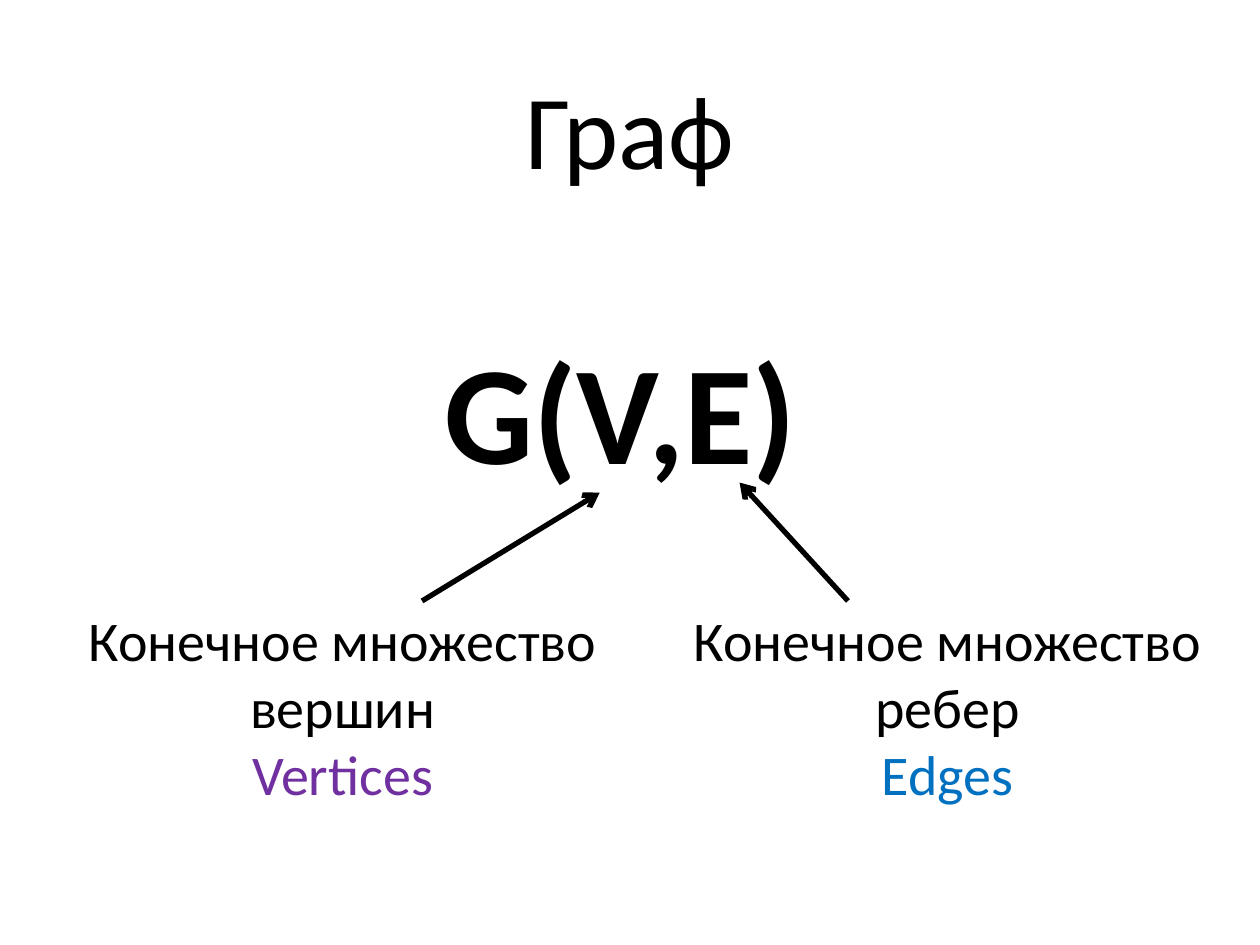
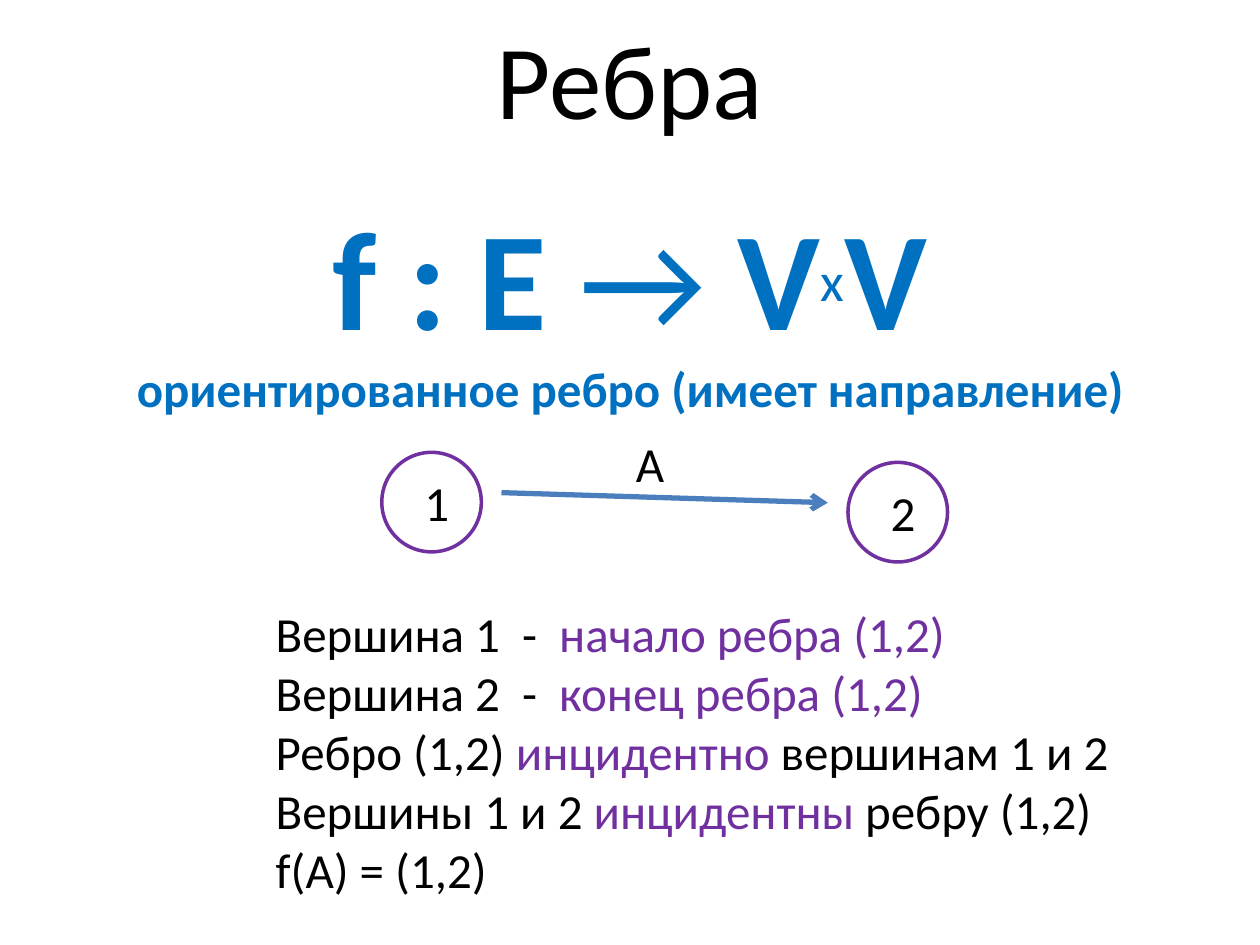
import pptx
import pptx.util
import pptx.dml.color
import pptx.enum.shapes
import pptx.enum.text
import pptx.oxml
import pptx.oxml.ns
from dataclasses import dataclass

Inches = pptx.util.Inches
Align = pptx.enum.text.PP_ALIGN
Shape = pptx.enum.shapes.MSO_SHAPE


@dataclass(frozen=True)
class Theme:
    font: str = "Calibri"
    ink: str = "000000"
    paper: str = "FFFFFF"
    node: str = "7030A0"
    edge: str = "0070C0"
    arrow: str = "4B7EBC"
    head: int = 60
    huge: int = 80
    cross: int = 54
    note: int = 32
    body: int = 28
    hang: float = 0.56


theme = Theme()


def tint(code):
    return pptx.dml.color.RGBColor.from_string(code)


def style(run, size, color=theme.ink, bold=False):
    run.font.name = theme.font
    run.font.size = pptx.util.Pt(size)
    run.font.bold = bold
    run.font.color.rgb = tint(color)


def place(shape, box):
    shape.left, shape.top, shape.width, shape.height = map(Inches, box)


def setup(frame):
    frame.word_wrap = True
    frame.auto_size = pptx.enum.text.MSO_AUTO_SIZE.NONE
    frame.vertical_anchor = pptx.enum.text.MSO_ANCHOR.MIDDLE


def write(slide, box, rows, size, align=Align.CENTER, hang=False):
    frame = slide.shapes.add_textbox(*map(Inches, box)).text_frame
    setup(frame)
    for i, row in enumerate(rows):
        para = frame.add_paragraph() if i else frame.paragraphs[0]
        para.alignment = align
        if hang:
            props = para._p.get_or_add_pPr()
            props.set("marL", str(Inches(theme.hang)))
            props.set("indent", str(-Inches(theme.hang)))
        for text, color in row:
            run = para.add_run()
            run.text = text
            style(run, size, color)


def label(slide, box, text, size=theme.body):
    write(slide, box, [[(text, theme.ink)]], size, hang=True)


def title(slide, box, parts, color):
    shape = slide.shapes.title
    place(shape, box)
    setup(shape.text_frame)
    para = shape.text_frame.paragraphs[0]
    para.alignment = Align.CENTER
    for text, size, bold in parts:
        if text == "\n":
            para.add_line_break()
            continue
        run = para.add_run()
        run.text = text
        style(run, size, color, bold)
        if size == theme.cross:
            run.font._element.set("baseline", "30000")


def arrow(slide, start, end, color):
    line = slide.shapes.add_connector(
        pptx.enum.shapes.MSO_CONNECTOR.STRAIGHT, *map(Inches, start + end))
    line.line.color.rgb = tint(color)
    line.line.width = pptx.util.Pt(3)
    tip = pptx.oxml.parse_xml(
        '<a:tailEnd %s type="arrow"/>' % pptx.oxml.ns.nsdecls("a"))
    line.line._get_or_add_ln().append(tip)
    line._element.spPr.append(pptx.oxml.parse_xml(
        "<a:effectLst %s/>" % pptx.oxml.ns.nsdecls("a")))


def vertex(slide, box, text):
    x, y, w, h = box
    ring = slide.shapes.add_shape(Shape.OVAL, *map(Inches, box))
    ring.shadow.inherit = False
    ring.fill.solid()
    ring.fill.fore_color.rgb = tint(theme.paper)
    ring.line.color.rgb = tint(theme.node)
    ring.line.width = pptx.util.Pt(2)
    label(slide, (x + 0.24, y + 0.08, 0.39, 0.63), text)


def legend(slide, box, text, name, color, tip):
    x, y, w, h = box
    write(slide, box, [[(text, theme.ink)], [(name, color)]], theme.note)
    arrow(slide, (x + tip[0], y + 0.23), tip[1:], theme.ink)


def edge(slide, box):
    x, y, w, h = box
    side = 0.79
    vertex(slide, (x + w - side, y + h - side, side, side), "2")
    vertex(slide, (x, y, side, side), "1")
    arrow(slide, (x + 0.95, y + 0.32), (x + 3.54, y + 0.4), theme.arrow)
    label(slide, (x + 1.03, y - 0.23, 2.2, 0.63), "A")


def facts(slide, box):
    ink, node = theme.ink, theme.node
    rows = [
        [("Вершина 1  -  ", ink), ("начало ребра (1,2)", node)],
        [("Вершина 2  -  ", ink), ("конец ребра (1,2)", node)],
        [("Ребро (1,2) ", ink), ("инцидентно", node),
         (" вершинам 1 и 2", ink)],
        [("Вершины 1 и 2 ", ink), ("инцидентны", node),
         (" ребру (1,2)", ink)],
        [("f(A) = (1,2)", ink)],
    ]
    write(slide, box, rows, theme.body, Align.LEFT, hang=True)


def graph(slide):
    title(slide, (2.8, 2.18, 4.25, 2.13),
          [("G(V,E)", theme.huge, True)], theme.ink)
    label(slide, (0.75, 0.21, 8.5, 1.61), "Граф", theme.head)
    legend(slide, (0.28, 4.54, 4.88, 2.13), "Конечное множество вершин",
           "Vertices", theme.node, (3.07, 4.76, 3.91))
    legend(slide, (5.08, 4.54, 4.88, 2.13), "Конечное множество ребер",
           "Edges", theme.edge, (1.65, 5.87, 3.83))


def edges(slide):
    label(slide, (0, 0, 10, 1.23), "Ребра", theme.head)
    huge = theme.huge
    title(slide, (0, 1.07, 10, 2.68), [
        ("f : E", huge, True), (" → ", huge, False), ("V", huge, True),
        ("x", theme.cross, False), ("V", huge, True), ("\n", huge, True),
        ("ориентированное ребро (имеет направление)", theme.body, True),
    ], theme.edge)
    edge(slide, (3.03, 3.59, 4.49, 0.87))
    facts(slide, (2.09, 4.62, 7.64, 2.68))


deck = pptx.Presentation()
deck.slide_width, deck.slide_height = Inches(10), Inches(7.5)
for build in (graph, edges):
    build(deck.slides.add_slide(deck.slide_layouts[5]))
deck.save("out.pptx")
